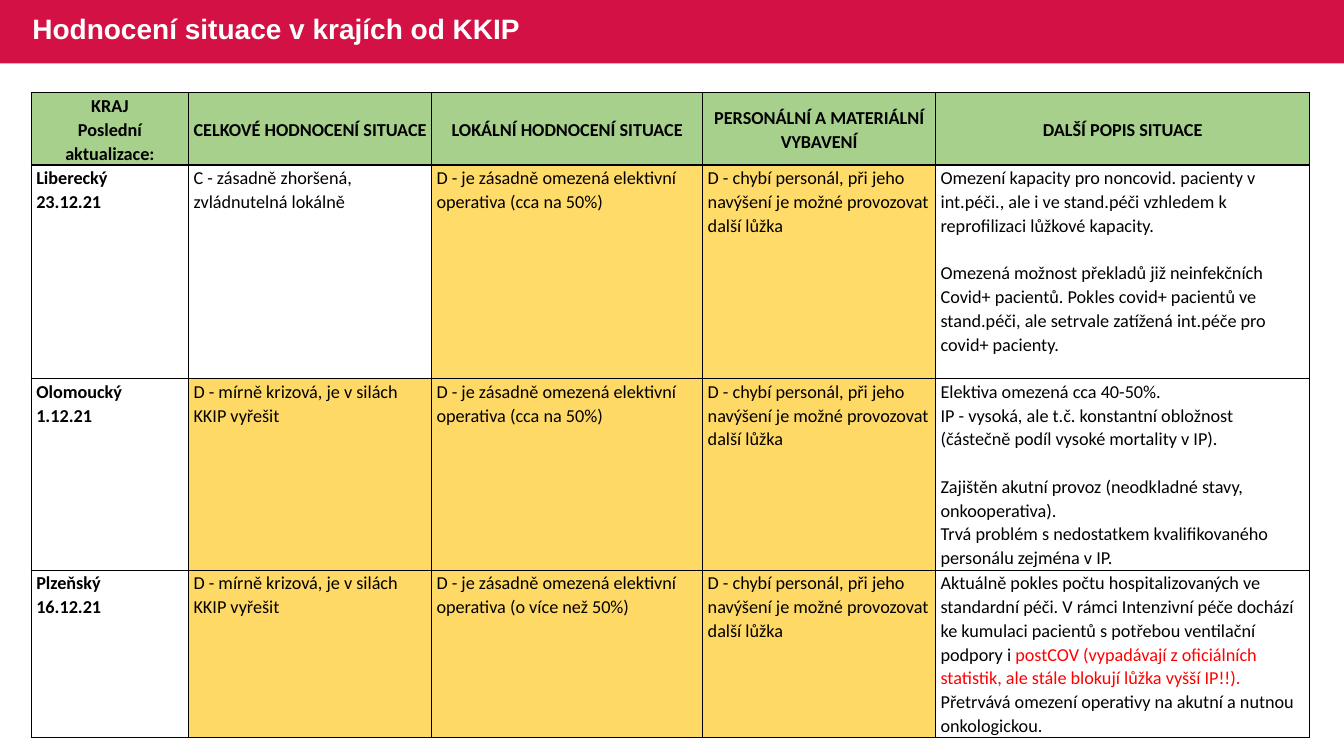
from pptx import Presentation
from pptx.dml.color import RGBColor
from pptx.enum import shapes, text
from pptx.oxml import parse_xml
from pptx.oxml.ns import nsdecls
from pptx.util import Inches, Pt

COLORS = {
    "band": "D31145", "white": "FFFFFF", "black": "000000", "red": "FF0000",
    "header": "A8D08D", "amber": "FFDB69", "gold": "FFD966",
}
COL_WIDTHS = [1.56, 2.41, 2.69, 2.31, 3.71]
ROW_HEIGHTS = [0.71, 2.12, 1.9, 1.66]
GAP = Pt(17)  # one line of table text

HEADERS = [
    ["KRAJ", "Poslední aktualizace:"],
    ["CELKOVÉ HODNOCENÍ SITUACE"],
    ["LOKÁLNÍ HODNOCENÍ SITUACE"],
    ["PERSONÁLNÍ A MATERIÁLNÍ VYBAVENÍ"],
    ["DALŠÍ POPIS SITUACE"],
]
CRISIS = "D - mírně krizová, je v silách KKIP vyřešit"
LIMITED = "D - je zásadně omezená elektivní operativa "
STAFF = "D - chybí personál, při jeho navýšení je možné provozovat další lůžka"

# Region, fills of the three ratings, ratings, description, paragraphs after a gap
REGIONS = [
    (["Liberecký", "23.12.21"], [None, "amber", "amber"],
     ["C - zásadně zhoršená, zvládnutelná lokálně", LIMITED + "(cca na 50%)", STAFF],
     ["Omezení kapacity pro noncovid. pacienty v int.péči., ale i ve stand.péči "
      "vzhledem k reprofilizaci lůžkové kapacity.",
      "Omezená možnost překladů již neinfekčních Covid+ pacientů. Pokles covid+ "
      "pacientů ve stand.péči, ale setrvale zatížená int.péče pro covid+ pacienty."],
     [1]),
    (["Olomoucký", "1.12.21"], ["gold"] * 3,
     [CRISIS, LIMITED + "(cca na 50%)", STAFF],
     ["Elektiva omezená cca 40-50%.",
      "IP - vysoká, ale t.č. konstantní obložnost (částečně podíl vysoké mortality v IP).",
      "Zajištěn akutní provoz (neodkladné stavy, onkooperativa).",
      "Trvá problém s nedostatkem kvalifikovaného personálu zejména v IP."],
     [2]),
    (["Plzeňský", "16.12.21"], ["gold"] * 3,
     [CRISIS, LIMITED + "(o více než 50%)", STAFF],
     [[("Aktuálně pokles počtu hospitalizovaných ve standardní péči. V rámci Intenzivní "
        "péče dochází ke kumulaci pacientů s potřebou ventilační podpory i ", "black"),
       ("postCOV (vypadávají z oficiálních statistik, ale stále blokují lůžka vyšší IP!!).",
        "red")],
      "Přetrvává omezení operativy na akutní a nutnou onkologickou."],
     []),
]


def rgb(name):
    return RGBColor.from_string(COLORS[name])


def set_font(font, name, size, bold, color=None):
    font.name, font.size, font.bold = name, Pt(size), bold
    if color:
        font.color.rgb = rgb(color)


def add_band(s, width):
    band = s.shapes.add_shape(shapes.MSO_SHAPE.RECTANGLE, 0, 0, width, Inches(0.63))
    band.shadow.inherit = False
    band.fill.solid()
    band.fill.fore_color.rgb = rgb("band")
    band.line.fill.background()
    # Place the band behind the title
    s.shapes._spTree.insert(2, band._element)


def set_title(s, title):
    sp = s.shapes.title
    sp.left, sp.top = Inches(0.22), Inches(-0.01)
    sp.width, sp.height = Inches(8.14), Inches(0.63)
    tf = sp.text_frame
    tf.text = title
    tf.vertical_anchor = text.MSO_ANCHOR.MIDDLE
    p = tf.paragraphs[0]
    p.alignment, p.line_spacing = text.PP_ALIGN.LEFT, 0.9
    set_font(p.font, "Arial", 20, True, "white")


def add_borders(cell):
    tc_pr = cell._tc.get_or_add_tcPr()
    for i, side in enumerate(("lnL", "lnR", "lnT", "lnB")):
        tc_pr.insert(i, parse_xml(
            f'<a:{side} {nsdecls("a")} w="12700"><a:solidFill>'
            f'<a:srgbClr val="{COLORS["black"]}"/></a:solidFill></a:{side}>'))


def fill_cell(cell, paragraphs, fill=None, bold=False, header=False, gaps=()):
    cell.margin_left = cell.margin_right = Inches(0.05)
    cell.margin_top, cell.margin_bottom = Inches(0.01), 0
    middle, top = text.MSO_ANCHOR.MIDDLE, text.MSO_ANCHOR.TOP
    cell.vertical_anchor = middle if header else top
    if fill:
        cell.fill.solid()
        cell.fill.fore_color.rgb = rgb(fill)
    else:
        cell.fill.background()
    add_borders(cell)
    tf = cell.text_frame
    for i, content in enumerate(paragraphs):
        p = tf.add_paragraph() if i else tf.paragraphs[0]
        p.alignment = text.PP_ALIGN.CENTER if header else text.PP_ALIGN.LEFT
        p.line_spacing = 1.07
        if i in gaps:
            p.space_before = GAP
        set_font(p.font, "Calibri", 13, bold)
        runs = [(content, "black")] if isinstance(content, str) else content
        for words, color in runs:
            r = p.add_run()
            r.text = words
            r.font.color.rgb = rgb(color)


def add_region_table(s):
    table = s.shapes.add_table(
        len(ROW_HEIGHTS), len(COL_WIDTHS), Inches(0.31), Inches(0.92),
        Inches(sum(COL_WIDTHS)), Inches(sum(ROW_HEIGHTS))).table
    table.first_row = table.horz_banding = False
    for column, width in zip(table.columns, COL_WIDTHS):
        column.width = Inches(width)
    for row, height in zip(table.rows, ROW_HEIGHTS):
        row.height = Inches(height)

    # Header row
    for col, header in enumerate(HEADERS):
        fill_cell(table.cell(0, col), header, "header", bold=True, header=True)

    # One row per region
    for row, (region, fills, ratings, description, gaps) in enumerate(REGIONS, 1):
        fill_cell(table.cell(row, 0), region, bold=True)
        for col, (rating, fill) in enumerate(zip(ratings, fills), 1):
            fill_cell(table.cell(row, col), [rating], fill)
        fill_cell(table.cell(row, 4), description, gaps=gaps)


def main():
    prs = Presentation()
    prs.slide_width, prs.slide_height = Inches(13.33), Inches(7.5)
    s = prs.slides.add_slide(prs.slide_layouts[5])
    add_band(s, prs.slide_width)
    set_title(s, "Hodnocení situace v krajích od KKIP")
    add_region_table(s)
    prs.save("out.pptx")


if __name__ == "__main__":
    main()
